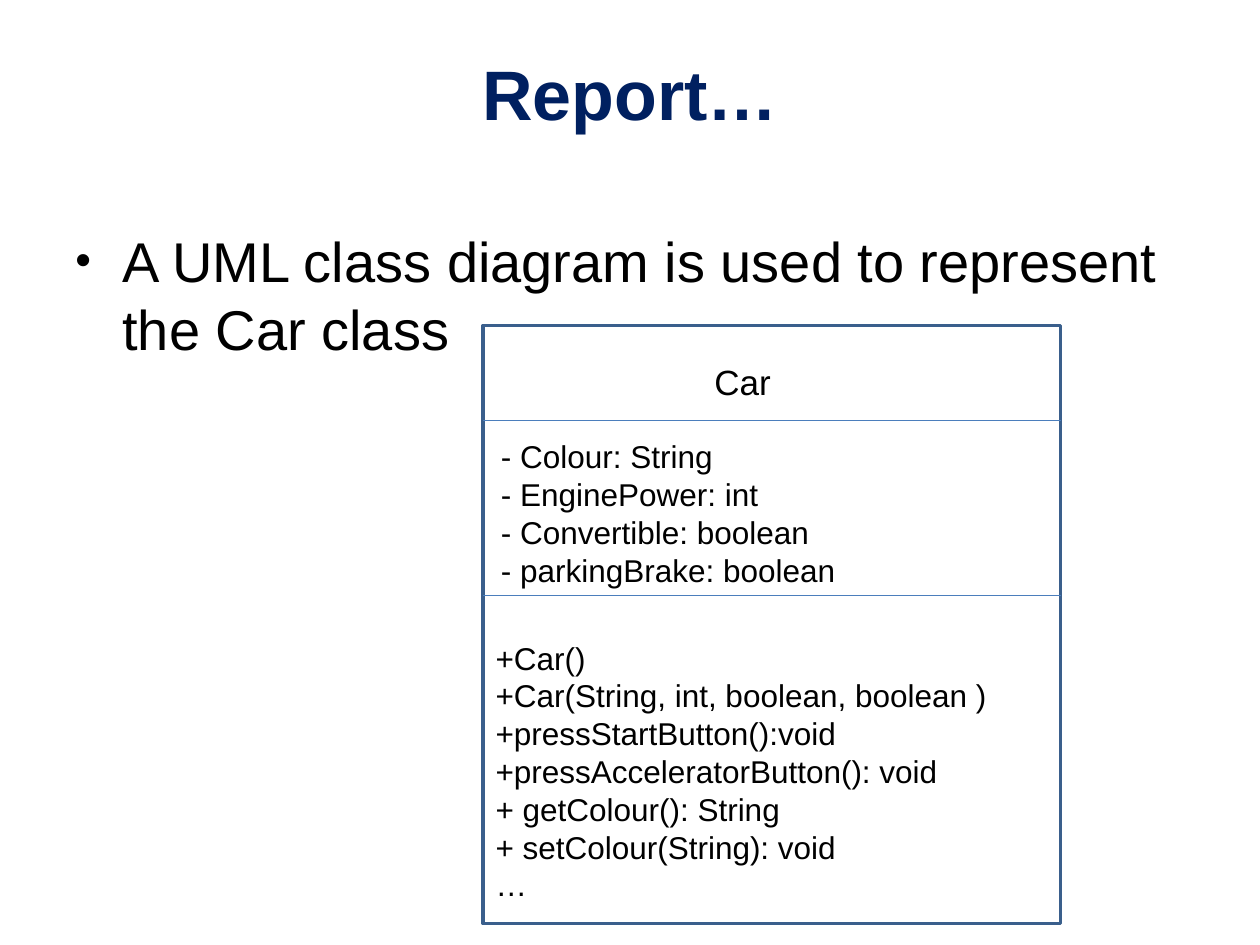
from lxml import etree
from pptx import Presentation
from pptx.dml.color import RGBColor
from pptx.enum.shapes import MSO_CONNECTOR, MSO_SHAPE
from pptx.enum.text import MSO_ANCHOR, MSO_AUTO_SIZE, PP_ALIGN
from pptx.oxml.ns import qn
from pptx.util import Cm, Pt

STRAIGHT = MSO_CONNECTOR.STRAIGHT
RECTANGLE = MSO_SHAPE.RECTANGLE
TOP, MIDDLE = MSO_ANCHOR.TOP, MSO_ANCHOR.MIDDLE
LEFT, CENTER = PP_ALIGN.LEFT, PP_ALIGN.CENTER
FIT_SHAPE, FIXED = MSO_AUTO_SIZE.SHAPE_TO_FIT_TEXT, MSO_AUTO_SIZE.NONE

COLORS = {"title": "002060", "text": "000000", "frame": "3A5F8C", "divider": "4B7EBC"}
FONT = "Arial"

ATTRIBUTES = [
    "- Colour: String",
    "- EnginePower: int",
    "- Convertible: boolean",
    "- parkingBrake: boolean",
]
METHODS = [
    "+Car()",
    "+Car(String, int, boolean, boolean )",
    "+pressStartButton():void",
    "+pressAcceleratorButton(): void",
    "+ getColour(): String",
    "+ setColour(String): void",
    "…",
]


def color(name):
    return RGBColor.from_string(COLORS[name])


def write_text(text_frame, text, size=18, color_name="text", bold=False, align=LEFT):
    paragraph = text_frame.paragraphs[0]
    paragraph.text = text
    paragraph.alignment = align
    for run in paragraph.runs:
        run.font.name = FONT
        run.font.size = Pt(size)
        run.font.bold = bold
        run.font.color.rgb = color(color_name)
    return paragraph


class SlideBuilder:
    """Draws styled elements on the current slide."""

    def __init__(self, slide):
        self.slide = slide

    def text(self, left, top, width, height, text, wrap=False, anchor=TOP, **style):
        shape = self.slide.shapes.add_textbox(Cm(left), Cm(top), Cm(width), Cm(height))
        text_frame = shape.text_frame
        text_frame.word_wrap = wrap
        text_frame.auto_size = FIXED if wrap else FIT_SHAPE
        text_frame.vertical_anchor = anchor
        return write_text(text_frame, text, **style)

    def bullet(self, left, top, width, height, text, indent=0.95, **style):
        paragraph = self.text(left, top, width, height, text, wrap=True, **style)
        properties = paragraph._p.get_or_add_pPr()
        properties.set("marL", str(Cm(indent)))
        properties.set("indent", str(-Cm(indent)))
        bullet_color = etree.SubElement(properties, qn("a:buClr"))
        etree.SubElement(bullet_color, qn("a:srgbClr"), val=COLORS["text"])
        etree.SubElement(properties, qn("a:buSzPct"), val="80000")
        etree.SubElement(properties, qn("a:buFont"), typeface=FONT)
        etree.SubElement(properties, qn("a:buChar"), char="•")

    def frame(self, left, top, width, height):
        shape = self.slide.shapes.add_shape(RECTANGLE, Cm(left), Cm(top), Cm(width), Cm(height))
        shape.shadow.inherit = False
        shape.fill.background()
        shape.line.color.rgb = color("frame")
        shape.line.width = Pt(2)

    def divider(self, left, top, width):
        line = self.slide.shapes.add_connector(
            STRAIGHT, Cm(left), Cm(top), Cm(left + width), Cm(top))
        line.line.color.rgb = color("divider")
        line.line.width = Pt(0.75)
        etree.SubElement(line._element.spPr, qn("a:effectLst"))


presentation = Presentation()
presentation.slide_width, presentation.slide_height = Cm(25.4), Cm(19.05)
builder = SlideBuilder(presentation.slides.add_slide(presentation.slide_layouts[6]))

builder.text(1.27, 0.76, 22.86, 2.21, "Report…", wrap=True, anchor=MIDDLE,
             size=40, color_name="title", bold=True, align=CENTER)
builder.bullet(1.27, 4.45, 22.86, 3.18,
               "A UML class diagram is used to represent the Car class", size=32)

class_left, class_width = 9.74, 11.64
builder.frame(class_left, 6.56, class_width, 12.06)
for divider_top in (8.47, 12.01):
    builder.divider(class_left, divider_top, class_width)
builder.text(14.15, 7.14, 1.65, 1.11, "Car", size=20)
builder.text(9.85, 8.69, 7.32, 3.33, "\n".join(ATTRIBUTES))
builder.text(class_left, 12.75, 10.52, 5.64, "\n".join(METHODS))

presentation.save("out.pptx")
